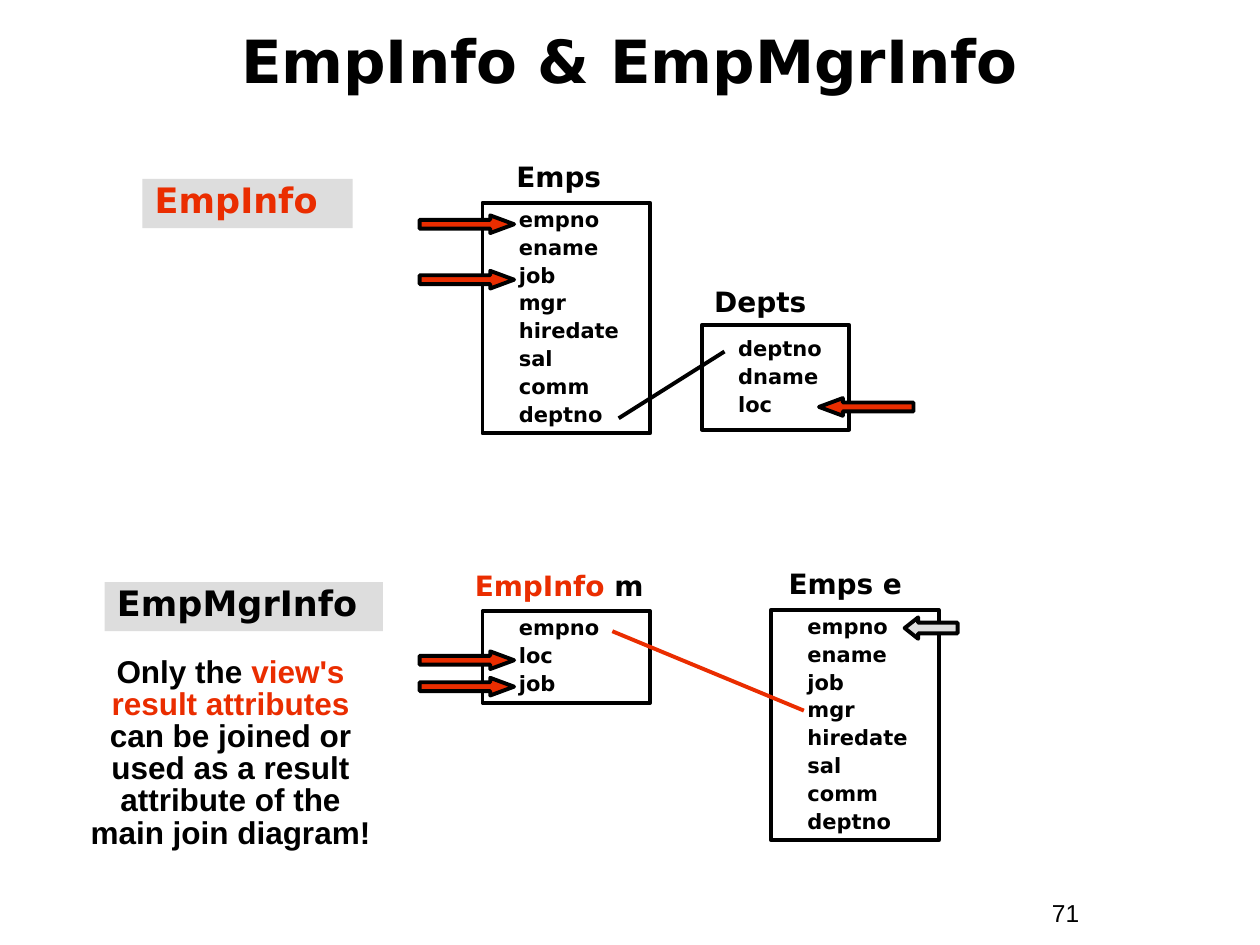
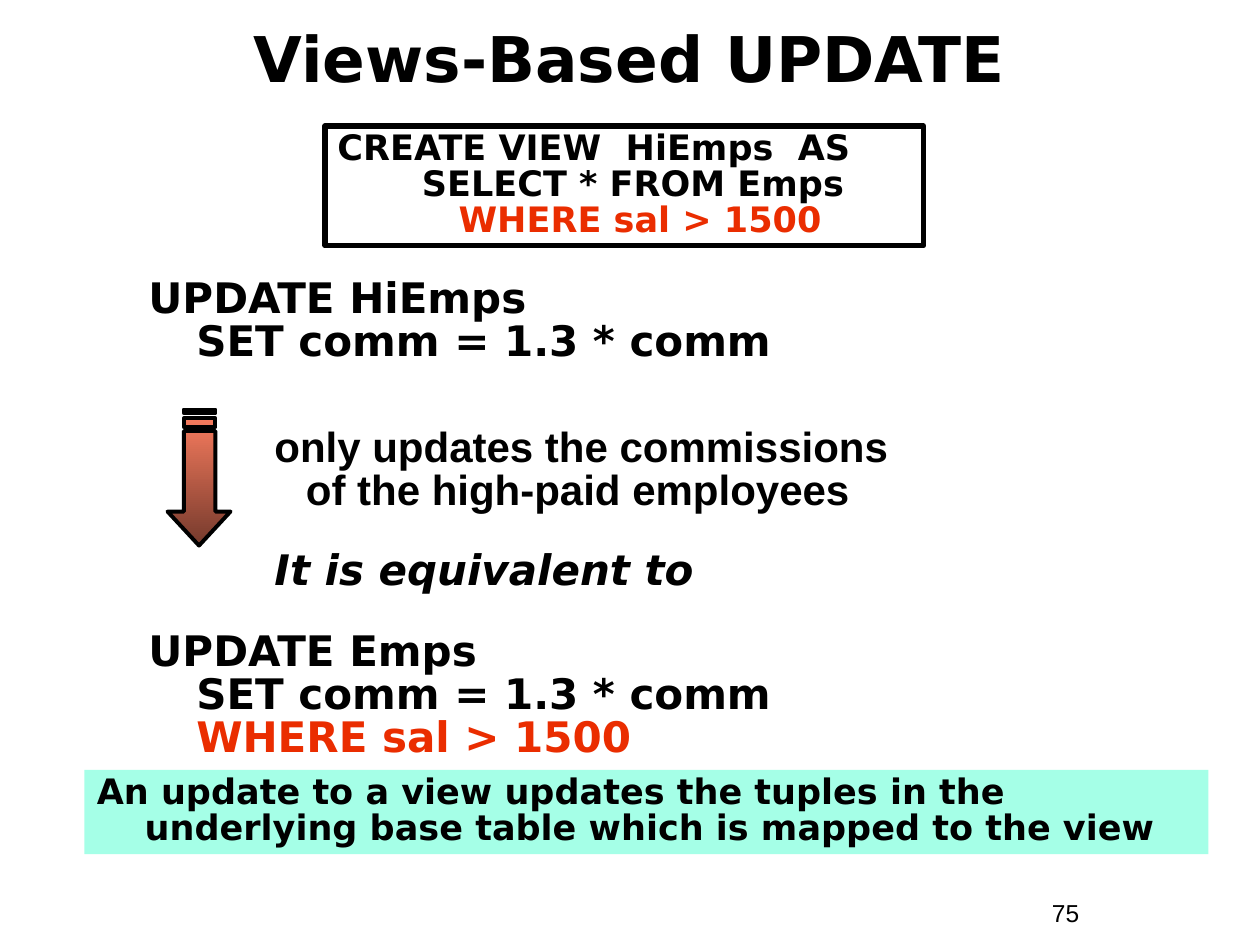
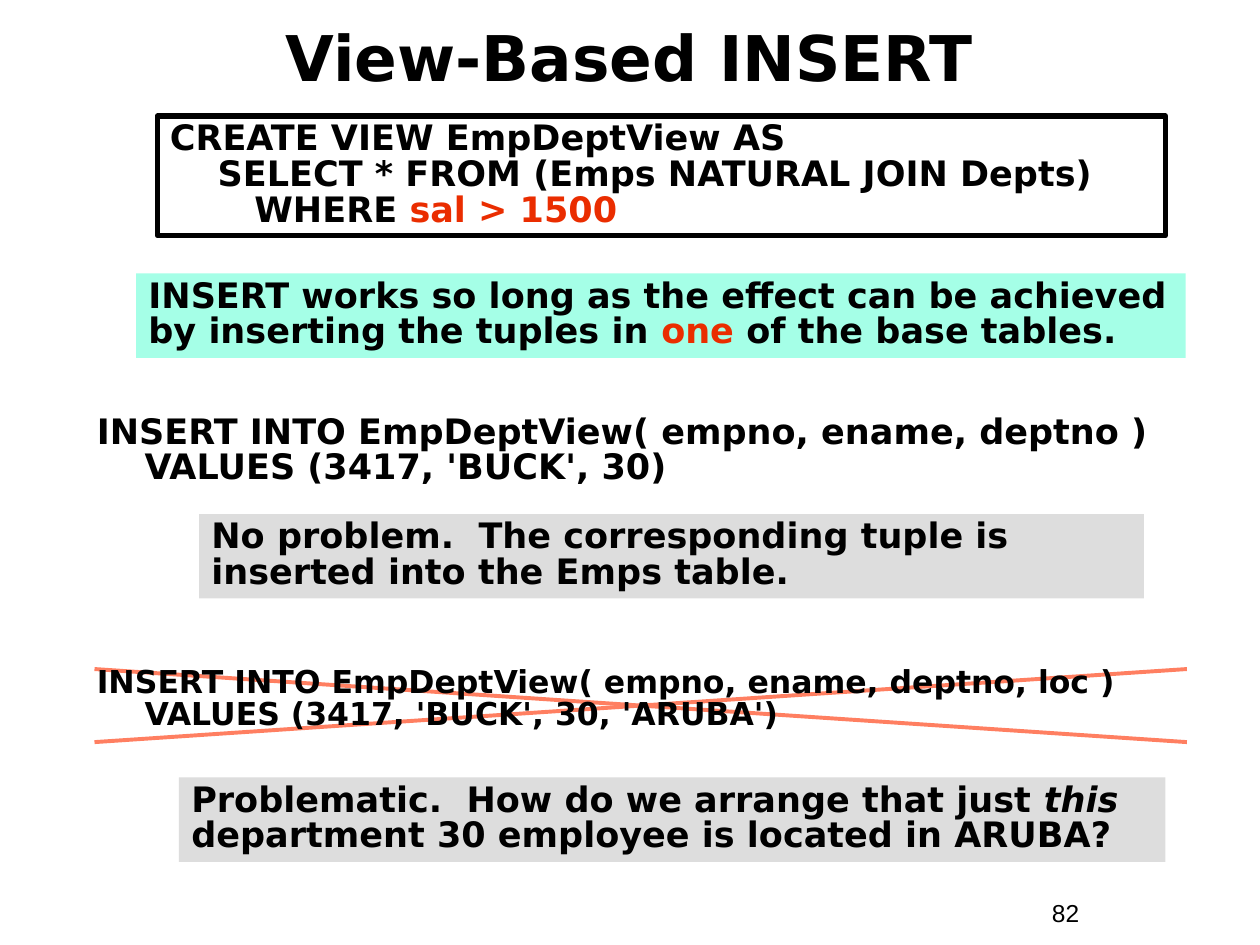
import pptx
import pptx.dml.color
import pptx.enum.shapes
import pptx.enum.text
import pptx.oxml.ns
import pptx.util
from lxml import etree
from pptx.util import Inches

SHAPES = pptx.enum.shapes.MSO_SHAPE
MIDDLE = pptx.enum.text.MSO_ANCHOR.MIDDLE
LEFT = pptx.enum.text.PP_ALIGN.LEFT
CENTER = pptx.enum.text.PP_ALIGN.CENTER

BLACK, RED, CORAL, BROWN = "000000", "EA2D00", "FF7F61", "753A2C"
GRAY, MINT = "DDDDDD", "A5FFE7"
CODE_FONT, PROSE_FONT = "DejaVu Sans", "Arial"
HANG = 0.38
EMPS_COLUMNS = ["empno", "ename", "job", "mgr", "hiredate", "sal", "comm", "deptno"]


def rgb(value):
    return pptx.dml.color.RGBColor.from_string(value)


def paint(shape, fill=None, line_width=None):
    """Give a shape a flat fill and a black outline, or none of them."""
    shape.shadow.inherit = False
    if fill:
        shape.fill.solid()
        shape.fill.fore_color.rgb = rgb(fill)
    else:
        shape.fill.background()
    if line_width:
        shape.line.color.rgb = rgb(BLACK)
        shape.line.width = pptx.util.Pt(line_width)
    else:
        shape.line.fill.background()


def add_box(page, at, fill=None, line_width=None, anchor=pptx.enum.text.MSO_ANCHOR.TOP):
    """Add a plain text box, or a rectangle when it has a fill or an outline."""
    frame = [Inches(length) for length in at]
    if fill or line_width:
        box = page.shapes.add_shape(SHAPES.RECTANGLE, *frame)
        paint(box, fill, line_width)
    else:
        box = page.shapes.add_textbox(*frame)
    box.text_frame.word_wrap = True
    box.text_frame.vertical_anchor = anchor
    return box


def write(box, spans, size, font=CODE_FONT, bold=True, spacing=0.85, before=0,
          left=0, indent=0, align=LEFT):
    """Add a paragraph; a span is text, or (text, colour, italic)."""
    para = box.text_frame.paragraphs[0]
    if para.runs:
        para = box.text_frame.add_paragraph()
    properties = para._p.get_or_add_pPr()
    properties.set("marL", str(Inches(left)))
    properties.set("indent", str(Inches(indent)))
    para.alignment = align
    para.line_spacing = spacing
    para.space_before = pptx.util.Pt(before)
    for span in spans:
        text, color, italic = (span, BLACK, False) if isinstance(span, str) else span
        for number, line in enumerate(text.split("\n")):
            if number:
                para.add_line_break()
            if line:
                run = para.add_run()
                run.text = line
                run.font.name = font
                run.font.size = pptx.util.Pt(size)
                run.font.bold = bold
                run.font.italic = italic
                run.font.color.rgb = rgb(color)


def add_page(deck, title, number, title_at, size=36, spacing=1.0):
    page = deck.slides.add_slide(deck.slide_layouts[6])
    write(add_box(page, (8.25, 7.08, 0.92, 0.34)), [number], 14, PROSE_FONT,
          bold=False, spacing=1.0)
    write(add_box(page, title_at, anchor=MIDDLE), [title], size,
          spacing=spacing, align=CENTER)
    return page


def add_note(page, at, spans, fill, hang=0):
    write(add_box(page, at, fill), spans, 20, left=hang, indent=-hang)


def add_view_code(page, at, spans):
    write(add_box(page, at, line_width=3), spans, 20, left=HANG, indent=-HANG)


def add_relation(page, name, name_at, at, columns):
    """Draw a relation's box of columns with its name above."""
    box = add_box(page, at, line_width=2.25, anchor=MIDDLE)
    for number, column in enumerate(columns):
        write(box, [column], 12, spacing=0.9, before=3 if number else 0, left=0.19)
    write(add_box(page, (*name_at, 1.92, 0.34)), name, 16, spacing=0.9)


def add_arrow(page, preset, at, head, fill):
    arrow = page.shapes.add_shape(preset, *[Inches(length) for length in at])
    paint(arrow, fill, 2.25)
    arrow.adjustments[0] = 0.5
    arrow.adjustments[1] = head


def add_line(page, start, end, color):
    line = page.shapes.add_connector(pptx.enum.shapes.MSO_CONNECTOR.STRAIGHT,
                                     *[Inches(length) for length in (*start, *end)])
    line.line.color.rgb = rgb(color)
    line.line.width = pptx.util.Pt(2.25)
    etree.SubElement(line._element.spPr, pptx.oxml.ns.qn("a:effectLst"))


def add_striped_arrow(page):
    """Draw the down arrow with two stripes; points are in hundredths of an inch."""
    left, right = 146, 171
    outline = [(right, 342), (right, 406), (183, 406), (158, 433), (133, 406),
               (left, 406), (left, 342)]
    stripes = [[(right, top), (right, bottom), (left, bottom), (left, top)]
               for top, bottom in ((325, 328), (332, 339))]
    builder = page.shapes.build_freeform(*outline[0], scale=Inches(0.01))
    builder.add_line_segments(outline[1:], close=True)
    for stripe in stripes:
        builder.move_to(*stripe[0])
        builder.add_line_segments(stripe[1:], close=True)
    arrow = builder.convert_to_shape()
    paint(arrow, line_width=2.25)
    arrow.fill.gradient()
    arrow.fill.gradient_angle = 270
    for stop, color, position in zip(arrow.fill.gradient_stops, (CORAL, BROWN), (0, 1)):
        stop.color.rgb = rgb(color)
        stop.position = position


def build_join_diagrams(deck):
    page = add_page(deck, "EmpInfo & EmpMgrInfo", "71", (0.33, 0.14, 9.33, 0.75), 34, 0.85)

    add_note(page, (1.13, 1.42, 1.67, 0.39), [("EmpInfo", RED, False)], GRAY)
    add_relation(page, ["Emps"], (4, 1.25), (3.83, 1.61, 1.33, 1.83), EMPS_COLUMNS)
    add_relation(page, ["Depts"], (5.57, 2.24), (5.57, 2.58, 1.17, 0.83),
                 ["deptno", "dname", "loc"])
    add_line(page, (4.91, 3.32), (5.75, 2.79), BLACK)

    add_note(page, (0.83, 4.62, 2.21, 0.39), ["EmpMgrInfo"], GRAY)
    add_relation(page, [("EmpInfo", RED, False), " m"], (3.67, 4.49),
                 (3.83, 4.85, 1.33, 0.73), ["empno", "loc", "job"])
    add_relation(page, ["Emps e"], (6.16, 4.48), (6.12, 4.84, 1.33, 1.83), EMPS_COLUMNS)
    add_line(page, (6.38, 5.64), (4.86, 5.01), RED)

    for top in (1.71, 2.15, 5.17, 5.38):
        add_arrow(page, SHAPES.RIGHT_ARROW, (3.33, top, 0.75, 0.14), 1.35, RED)
    add_arrow(page, SHAPES.LEFT_ARROW, (6.5, 3.16, 0.75, 0.14), 1.35, RED)
    add_arrow(page, SHAPES.LEFT_ARROW, (7.18, 4.9, 0.42, 0.17), 0.63, GRAY)

    write(add_box(page, (0.58, 5.17, 2.5, 1.63)),
          ["Only the ", ("view's result attributes", RED, False),
           " can be joined or used as a result attribute of the main join diagram!"],
          18, PROSE_FONT, align=CENTER)


def build_update(deck):
    page = add_page(deck, "Views-Based UPDATE", "75", (0.33, 0.08, 9.33, 0.75))
    body = add_box(page, (1.08, 2.17, 8, 3.92))
    statement = {"left": HANG, "indent": -HANG}
    remark = {"left": 1.25, "indent": -0.25}
    write(body, ["UPDATE HiEmps\nSET comm = 1.3 * comm"], 24, **statement)
    write(body, ["only updates the commissions\nof the high-paid employees"], 24,
          PROSE_FONT, before=36, **remark)
    write(body, [("It is equivalent to", BLACK, True)], 24, before=21.5, **remark)
    write(body, ["UPDATE Emps\nSET comm = 1.3 * comm\n", ("WHERE sal > 1500", RED, False)],
          24, before=21.5, **statement)
    add_view_code(page, (2.58, 1, 4.75, 0.95),
                  ["CREATE VIEW  HiEmps  AS\n   SELECT * FROM Emps\n      ",
                   ("WHERE sal > 1500", RED, False)])
    add_striped_arrow(page)
    add_note(page, (0.67, 6.11, 8.92, 0.67),
             ["An update to a view updates the tuples in the underlying base table "
              "which is mapped to the view"], MINT, HANG)


def build_insert(deck):
    page = add_page(deck, "View-Based INSERT", "82", (0.33, 0.06, 9.33, 0.78))
    add_line(page, (0.75, 5.89), (9.42, 5.31), CORAL)
    add_line(page, (0.75, 5.31), (9.42, 5.89), CORAL)
    add_view_code(page, (1.25, 0.92, 8, 0.95),
                  ["CREATE VIEW EmpDeptView AS\nSELECT * FROM (Emps NATURAL JOIN Depts)\n"
                   "   WHERE ", ("sal > 1500", RED, False)])
    add_note(page, (1.08, 2.17, 8.33, 0.67),
             ["INSERT works so long as the effect can be achieved by inserting the tuples in ",
              ("one", RED, False), " of the base tables."], MINT)
    write(add_box(page, (0.67, 3.25, 8.75, 0.83)),
          ["INSERT INTO EmpDeptView( empno, ename, deptno )\nVALUES (3417, 'BUCK', 30)"],
          20, left=HANG, indent=-HANG)
    add_note(page, (1.58, 4.08, 7.5, 0.67),
             ["No problem.  The corresponding tuple is inserted into the Emps table."], GRAY)
    write(add_box(page, (0.67, 5.25, 9, 0.75)),
          ["INSERT INTO EmpDeptView( empno, ename, deptno, loc )\n"
           "VALUES (3417, 'BUCK', 30, 'ARUBA')"],
          18, left=HANG, indent=-HANG)
    add_note(page, (1.42, 6.17, 7.83, 0.67),
             ["Problematic.  How do we arrange that just ", ("this", BLACK, True),
              " department 30 employee is located in ARUBA?"], GRAY)


def main():
    deck = pptx.Presentation()
    deck.slide_width = Inches(10)
    deck.slide_height = Inches(7.5)
    build_join_diagrams(deck)
    build_update(deck)
    build_insert(deck)
    deck.save("out.pptx")


if __name__ == "__main__":
    main()
